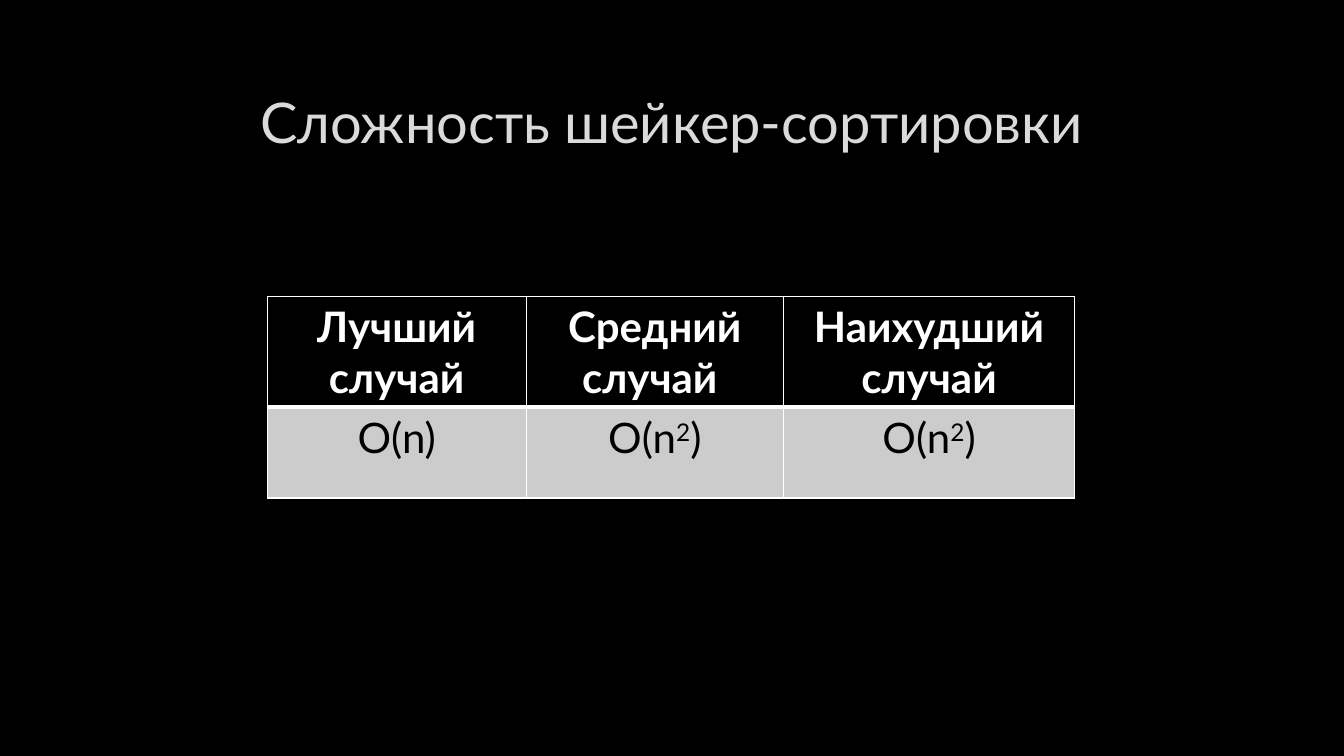
from pptx import Presentation, util as u
from pptx.dml.color import RGBColor
from pptx.enum import text as t
from pptx.oxml import parse_xml
from pptx.oxml.ns import nsdecls


def paint(fill, color):
    fill.solid()
    fill.fore_color.rgb = RGBColor.from_string(color)


def put(frame, words, size=30, color="000000", bold=False):
    """Write centred text; a part between two ^ marks is raised."""
    para = frame.paragraphs[0]
    para.alignment = t.PP_ALIGN.CENTER
    for i, part in enumerate(words.split("^")):
        run = para.add_run()
        run.text = part
        run.font.name = "Lato"
        run.font.size = u.Pt(size)
        run.font.bold = bold
        paint(run.font.fill, color)
        if i % 2:
            run._r.get_or_add_rPr().set("baseline", "30000")


deck = Presentation()
deck.slide_width = u.Inches(13.33)
deck.slide_height = u.Inches(7.5)
slide = deck.slides.add_slide(deck.slide_layouts[6])
paint(slide.background.fill, "000000")

# Title
title = slide.shapes.add_textbox(
    u.Inches(1), u.Inches(0.67), u.Inches(11.32), u.Inches(1.06))
title.text_frame.word_wrap = True
title.text_frame.vertical_anchor = t.MSO_ANCHOR.MIDDLE
put(title.text_frame, "Сложность шейкер-сортировки", size=40, color="DADADA")

# Table of cases
rows = [
    ["Лучший случай", "Средний случай ", "Наихудший случай"],
    ["O(n)", "O(n^2^)", "O(n^2^)"],
]
looks = [
    {"color": "FFFFFF", "bold": True},
    {"color": "000000"},
]
fills = ["000000", "CCCCCC"]
# Border widths in points: left, right, top, bottom
edges = [
    {"L": 1, "R": 1, "T": 1, "B": 3},
    {"L": 1, "R": 1, "T": 3, "B": 1},
]
table = slide.shapes.add_table(
    2, 3, u.Inches(2.65), u.Inches(2.94), u.Inches(8.01), u.Inches(2)).table
for col, width in zip(table.columns, [2.57, 2.55, 2.89]):
    col.width = u.Inches(width)
for row, height in zip(table.rows, [1.1, 0.9]):
    row.height = u.Inches(height)

for r, row in enumerate(rows):
    for c, words in enumerate(row):
        cell = table.cell(r, c)
        put(cell.text_frame, words, **looks[r])
        props = cell._tc.get_or_add_tcPr()
        for side, width in edges[r].items():
            props.append(parse_xml(
                f'<a:ln{side} {nsdecls("a")} w="{u.Pt(width)}"><a:solidFill>'
                f'<a:srgbClr val="FFFFFF"/></a:solidFill></a:ln{side}>'))
        paint(cell.fill, fills[r])

deck.save("out.pptx")
